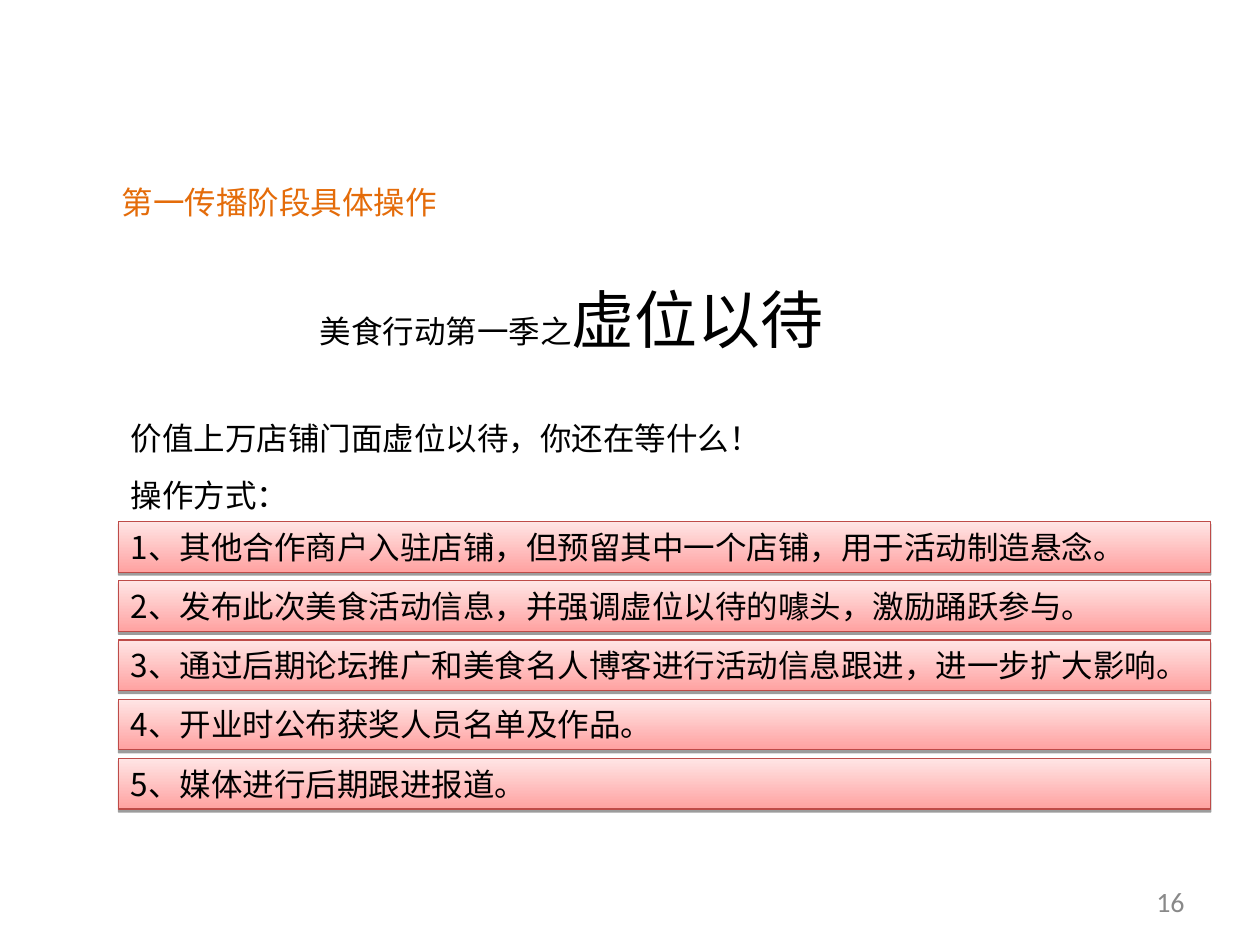
from lxml import etree
from pptx import Presentation
from pptx.dml.color import RGBColor
from pptx.enum.shapes import MSO_SHAPE
from pptx.enum.text import MSO_ANCHOR, MSO_AUTO_SIZE, PP_ALIGN
from pptx.oxml import parse_xml
from pptx.oxml.ns import qn
from pptx.util import Pt

RECTANGLE = MSO_SHAPE.RECTANGLE
FIT_SHAPE = MSO_AUTO_SIZE.SHAPE_TO_FIT_TEXT
TOP, MIDDLE = MSO_ANCHOR.TOP, MSO_ANCHOR.MIDDLE
LEFT, RIGHT = PP_ALIGN.LEFT, PP_ALIGN.RIGHT
CHINESE_FONT = "Noto Sans CJK SC"
SHADOW = (
    '<a:outerShdw xmlns:a="http://schemas.openxmlformats.org/drawingml/2006/main"'
    ' blurRad="0" dist="20320" dir="5400000" rotWithShape="0">'
    '<a:srgbClr val="000000"><a:alpha val="38000"/></a:srgbClr></a:outerShdw>'
)


def color(hex_string):
    return RGBColor.from_string(hex_string)


def write_text(shape, paragraphs, font_color="000000", font_name=CHINESE_FONT,
               wrap=True, line_spacing=None, align=LEFT):
    """Fill a shape with paragraphs, each a list of (text, size) runs."""
    text_frame = shape.text_frame
    text_frame.word_wrap = wrap
    for index, runs in enumerate(paragraphs):
        paragraph = text_frame.paragraphs[0] if index == 0 else text_frame.add_paragraph()
        paragraph.alignment = align
        paragraph.line_spacing = line_spacing
        for text, size in runs:
            run = paragraph.add_run()
            run.text = text
            run.font.size = Pt(size)
            run.font.color.rgb = color(font_color)
            run.font.name = font_name
            etree.SubElement(run.font._element, qn("a:ea"), typeface=font_name)


presentation = Presentation()
presentation.slide_width, presentation.slide_height = Pt(720), Pt(540)
slide = presentation.slides.add_slide(presentation.slide_layouts[6])
shapes = slide.shapes

heading = shapes.add_textbox(Pt(62.64), Pt(90), Pt(194.4), Pt(39.6))
write_text(heading, [[("第一传播阶段具体操作", 18)]], "E46C0A", wrap=False, line_spacing=1.5)

page_number = shapes.add_textbox(Pt(516.24), Pt(500.4), Pt(167.76), Pt(28.8))
write_text(page_number, [[("16", 16)]], "898989", "Calibri", align=RIGHT)
page_number.text_frame.vertical_anchor = MIDDLE

introduction = shapes.add_textbox(Pt(67.68), Pt(225.36), Pt(596.16), Pt(72))
write_text(introduction, [
    [("价值上万店铺门面虚位以待，你还在等什么！", 18)],
    [("操作方式：", 18)],
], line_spacing=1.5)

campaign_title = shapes.add_textbox(Pt(175.68), Pt(135.36), Pt(302.4), Pt(72))
write_text(campaign_title, [[("美食行动第一季之", 18), ("虚位以待", 36)]],
           wrap=False, line_spacing=1.5)

for text_box in (heading, introduction, campaign_title):
    text_box.text_frame.auto_size = FIT_SHAPE

steps = [
    "其他合作商户入驻店铺，但预留其中一个店铺，用于活动制造悬念。",
    "发布此次美食活动信息，并强调虚位以待的噱头，激励踊跃参与。",
    "通过后期论坛推广和美食名人博客进行活动信息跟进，进一步扩大影响。",
    "开业时公布获奖人员名单及作品。",
    "媒体进行后期跟进报道。",
]
for index, step in enumerate(steps):
    bar = shapes.add_shape(RECTANGLE, Pt(67.68), Pt(298 + 33.84 * index), Pt(624.24), Pt(29))
    bar.fill.gradient()
    bar.fill.gradient_angle = 90
    for stop, hex_string in zip(bar.fill.gradient_stops, ("FFA2A1", "FFE5E5")):
        stop.color.rgb = color(hex_string)
    for stop, position in zip(bar.fill.gradient_stops, (0, 1)):
        stop.position = position
    bar.line.color.rgb = color("BE4B48")
    bar.line.width = Pt(0.75)
    bar.shadow.inherit = False
    bar._element.spPr.find(qn("a:effectLst")).append(parse_xml(SHADOW))
    write_text(bar, [[(f"{index + 1}、{step}", 18)]])
    bar.text_frame.vertical_anchor = TOP
    bar.text_frame.auto_size = FIT_SHAPE

presentation.save("out.pptx")
